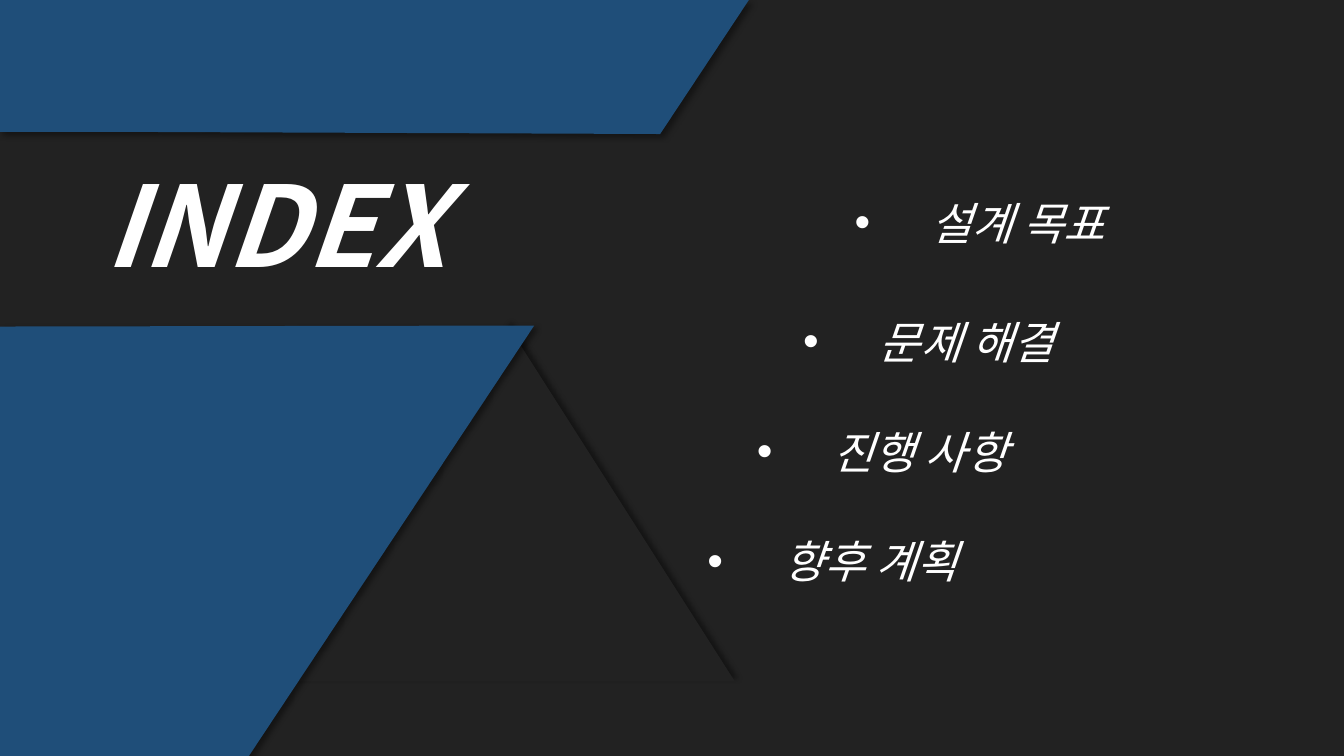
from lxml.etree import SubElement
from pptx import Presentation
from pptx.dml.color import RGBColor
from pptx.enum.shapes import MSO_SHAPE as Preset
from pptx.enum.text import MSO_AUTO_SIZE as AutoSize
from pptx.oxml.ns import qn
from pptx.util import Pt

PX = 9144
CHARCOAL = RGBColor(0x22, 0x22, 0x22)
BLUE = RGBColor(0x1F, 0x4E, 0x79)
WHITE = RGBColor(0xFF, 0xFF, 0xFF)


class IndexSlide:
    """Draws the styled parts of one slide, with lengths in px."""

    font = "Noto Sans CJK KR"
    indent = 75

    def __init__(self, deck):
        self.slide = deck.slides.add_slide(deck.slide_layouts[6])
        self.slide.background.fill.solid()
        self.slide.background.fill.fore_color.rgb = CHARCOAL

    def finish(self, shape, color, angle):
        shape.fill.solid()
        shape.fill.fore_color.rgb = color
        shape.line.fill.background()
        shape.shadow.inherit = False
        effects = shape._element.spPr.find(qn("a:effectLst"))
        shadow = SubElement(effects, qn("a:outerShdw"), blurRad=str(Pt(4)),
                            dist=str(Pt(3)), dir=str(angle * 60000),
                            algn="tl", rotWithShape="0")
        black = SubElement(shadow, qn("a:srgbClr"), val="000000")
        SubElement(black, qn("a:alpha"), val="40000")

    def triangle(self, *box, color, angle):
        shape = self.slide.shapes.add_shape(
            Preset.ISOSCELES_TRIANGLE, *(length * PX for length in box))
        self.finish(shape, color, angle)

    def panel(self, start, *corners, color, angle=45):
        outline = self.slide.shapes.build_freeform(*start, scale=PX)
        outline.add_line_segments(corners, close=True)
        self.finish(outline.convert_to_shape(), color, angle)

    def text(self, words, *box, size, bold=False, bullet=None):
        frame = self.slide.shapes.add_textbox(
            *(length * PX for length in box)).text_frame
        frame.word_wrap = True
        frame.auto_size = AutoSize.SHAPE_TO_FIT_TEXT
        paragraph = frame.paragraphs[0]
        if bullet:
            props = paragraph._p.get_or_add_pPr()
            props.set("marL", str(self.indent * PX))
            props.set("indent", str(-self.indent * PX))
            SubElement(props, qn("a:buFont"), typeface="Arial")
            SubElement(props, qn("a:buChar"), char=bullet)
        run = paragraph.add_run()
        run.text = words
        font = run.font
        font.size, font.bold, font.italic = Pt(size), bold, True
        font.color.rgb = WHITE
        font.name = self.font
        SubElement(run._r.get_or_add_rPr(), qn("a:ea"), typeface=self.font)


def main():
    deck = Presentation()
    deck.slide_width, deck.slide_height = 12192000, 750 * PX
    index = IndexSlide(deck)
    index.triangle(279, 323, 450, 353, color=CHARCOAL, angle=315)
    index.panel((0, 0), (743, 0), (655, 133), (155, 131), (0, 131), color=BLUE)
    index.panel((0, 324), (530, 323), (247, 750), (0, 750), color=BLUE)
    index.text("INDEX", 94, 149, 400, 145, size=80, bold=True)
    topics = [("설계 목표", 838, 189), ("문제 해결", 787, 307),
              ("진행 사항", 741, 416), ("향후 계획", 692, 525)]
    for topic, left, top in topics:
        index.text(topic, left, top, 458, 64, size=32, bullet="•")
    deck.save("out.pptx")


if __name__ == "__main__":
    main()
